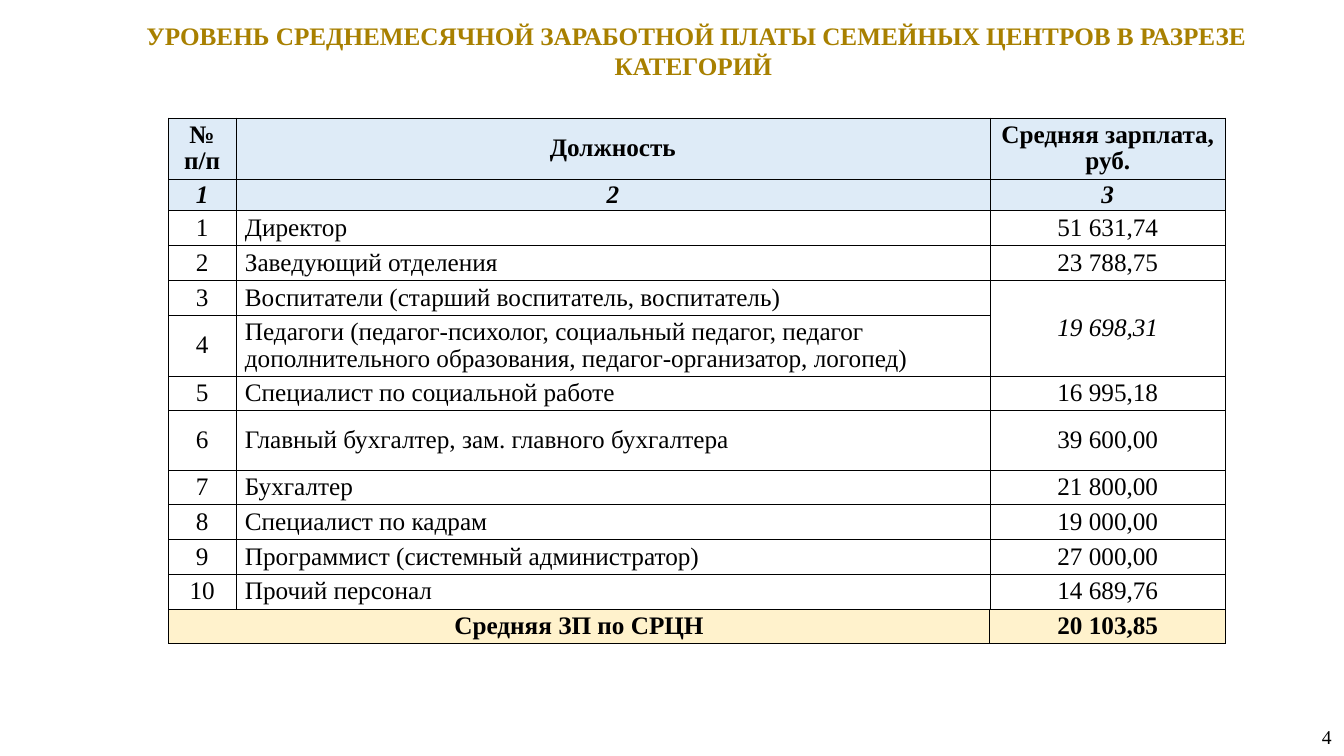
from dataclasses import dataclass
from typing import Optional

from lxml import etree
from pptx import Presentation
from pptx import util as u
from pptx.dml.color import RGBColor
from pptx.enum import text
from pptx.oxml import ns

GRID_COLS, GRID_ROWS = 160, 90
CENTER, LEFT, RIGHT = text.PP_ALIGN.CENTER, text.PP_ALIGN.LEFT, text.PP_ALIGN.RIGHT


@dataclass(frozen=True)
class Theme:
    font: str = "Times New Roman"
    title: str = "A88000"
    ink: str = "000000"
    header: str = "DEEBF7"
    total: str = "FFF2CC"
    body_size: float = 18
    number_size: float = 14
    thin: float = 0.5
    thick: float = 1
    cell_spacing: float = 0.94


@dataclass(frozen=True)
class Box:
    col: float
    row: float
    cols: float
    rows: float


@dataclass(frozen=True)
class Row:
    cells: tuple
    height: float = 1
    fill: Optional[str] = None
    bold: bool = False
    italic: tuple = (False, False, False)


THEME = Theme()
TITLE_BOX = Box(13.08, 1.8, 139.68, 9)
TABLE_BOX = Box(20.04, 14.04, 125.88, 62.64)
NUMBER_BOX = Box(120.12, 85.32, 39.6, 4.8)
COLUMN_COLS = (8.04, 89.76, 28.08)

SALARY_ROWS = [
    Row(("№ п/п", "Должность", "Средняя зарплата,\nруб."), 1.75, THEME.header, True),
    Row(("1", "2", "3"), 0.92, THEME.header, True, (True, True, True)),
    Row(("1", "Директор", "51 631,74")),
    Row(("2", "Заведующий отделения", "23 788,75")),
    Row(("3", "Воспитатели (старший воспитатель, воспитатель)", "19 698,31"),
        italic=(False, False, True)),
    Row(("4", "Педагоги (педагог-психолог, социальный педагог, педагог "
         "дополнительного образования, педагог-организатор, логопед)", ""), 1.75),
    Row(("5", "Специалист по социальной работе", "16 995,18")),
    Row(("6", "Главный бухгалтер, зам. главного бухгалтера", "39 600,00"), 1.7),
    Row(("7", "Бухгалтер", "21 800,00")),
    Row(("8", "Специалист по кадрам", "19 000,00")),
    Row(("9", "Программист (системный администратор)", "27 000,00")),
    Row(("10", "Прочий персонал", "14 689,76")),
    Row(("Средняя ЗП по СРЦН", "", "20 103,85"), fill=THEME.total, bold=True),
]
TEACHERS, TOTAL = 4, len(SALARY_ROWS) - 1


def place(prs, box: Box) -> tuple:
    col, row = prs.slide_width / GRID_COLS, prs.slide_height / GRID_ROWS
    return tuple(u.Emu(round(v)) for v in
                 (box.col * col, box.row * row, box.cols * col, box.rows * row))


def style_text(tf, size: float, color: str, align, bold: bool = False,
               italic: bool = False, spacing: Optional[float] = None) -> None:
    for p in tf.paragraphs:
        p.alignment = align
        p.line_spacing = spacing
        for r in p.runs:
            r.font.name = THEME.font
            r.font.size = u.Pt(size)
            r.font.bold = bold
            r.font.italic = italic
            r.font.color.rgb = RGBColor.from_string(color)


def add_label(prs, s, box: Box, words: str, size: float, color: str, align,
              anchor, bold: bool = False) -> None:
    tf = s.shapes.add_textbox(*place(prs, box)).text_frame
    tf.word_wrap = True
    tf.vertical_anchor = anchor
    tf.text = words
    style_text(tf, size, color, align, bold)


def set_borders(cell, widths: dict) -> None:
    tc_pr = cell._tc.get_or_add_tcPr()
    for side in "LRTB":
        width = widths.get(side, THEME.thin)
        ln = etree.SubElement(tc_pr, ns.qn(f"a:ln{side}"), w=str(u.Pt(width)))
        fill = etree.SubElement(ln, ns.qn("a:solidFill"))
        etree.SubElement(fill, ns.qn("a:srgbClr"), val=THEME.ink)


def fill_cell(cell, row: Row, words: str, italic: bool, align, borders: dict) -> None:
    cell.text = words
    cell.vertical_anchor = text.MSO_ANCHOR.MIDDLE
    cell.margin_left = u.Inches(0.09 if align == LEFT else 0.01)
    cell.margin_right = cell.margin_top = u.Inches(0.01)
    cell.margin_bottom = 0
    set_borders(cell, borders)
    if row.fill:
        cell.fill.solid()
        cell.fill.fore_color.rgb = RGBColor.from_string(row.fill)
    else:
        cell.fill.background()
    style_text(cell.text_frame, THEME.body_size, THEME.ink, align, row.bold,
               italic, THEME.cell_spacing)


def add_salary_table(prs, s) -> None:
    frame = s.shapes.add_table(len(SALARY_ROWS), len(COLUMN_COLS), *place(prs, TABLE_BOX))
    table = frame.table
    table.first_row = table.horz_banding = False
    for column, cols in zip(table.columns, COLUMN_COLS):
        column.width = round(prs.slide_width * cols / GRID_COLS)
    unit = frame.height / sum(row.height for row in SALARY_ROWS)
    for i, row in enumerate(SALARY_ROWS):
        table.rows[i].height = round(unit * row.height)
        for j, words in enumerate(row.cells):
            align = LEFT if j == 1 and not row.fill else CENTER
            divider = {"L": THEME.thick} if j == 2 else {"R": THEME.thick}
            fill_cell(table.cell(i, j), row, words, row.italic[j], align,
                      divider if i == TOTAL else {})
    table.cell(TEACHERS, 2).merge(table.cell(TEACHERS + 1, 2))
    table.cell(TOTAL, 0).merge(table.cell(TOTAL, 1))


def main() -> None:
    prs = Presentation()
    prs.slide_width, prs.slide_height = u.Inches(13.33), u.Inches(7.5)
    s = prs.slides.add_slide(prs.slide_layouts[6])
    add_label(prs, s, TITLE_BOX,
              "УРОВЕНЬ СРЕДНЕМЕСЯЧНОЙ ЗАРАБОТНОЙ ПЛАТЫ СЕМЕЙНЫХ ЦЕНТРОВ В РАЗРЕЗЕ КАТЕГОРИЙ ",
              THEME.body_size, THEME.title, CENTER, text.MSO_ANCHOR.TOP, True)
    add_salary_table(prs, s)
    add_label(prs, s, NUMBER_BOX, "4", THEME.number_size, THEME.ink, RIGHT,
              text.MSO_ANCHOR.MIDDLE)
    prs.save("out.pptx")


if __name__ == "__main__":
    main()
